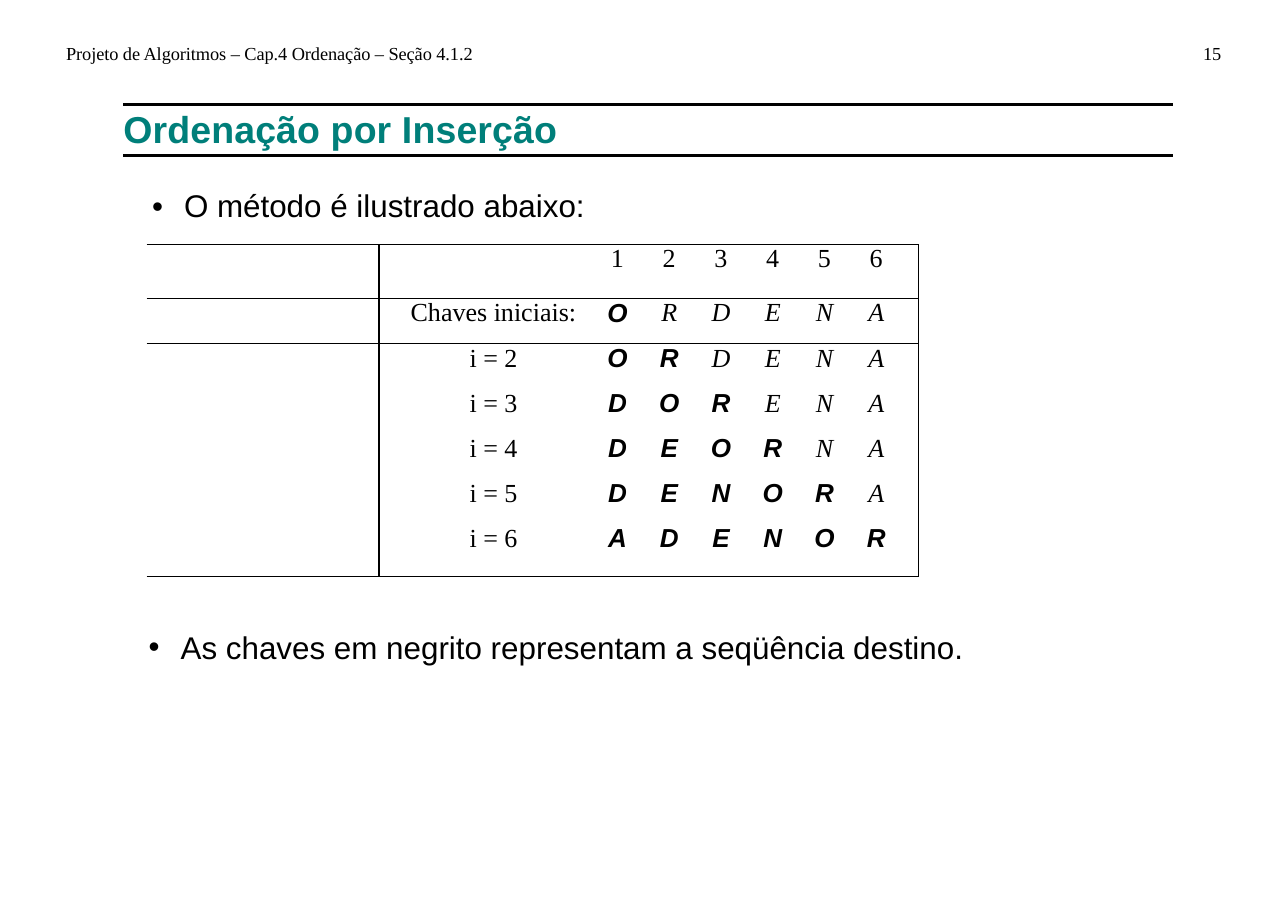
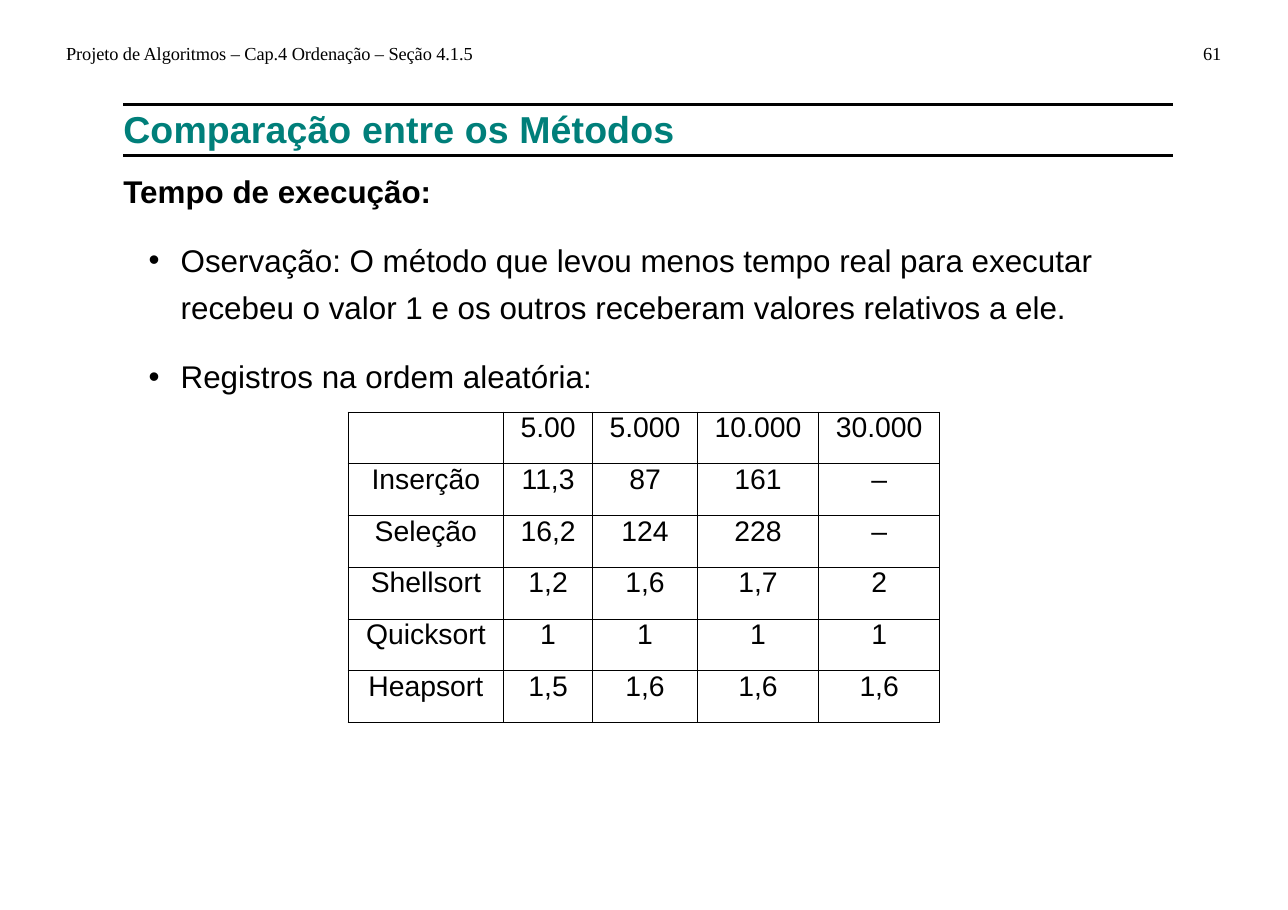
from dataclasses import dataclass
from typing import Any

from lxml import etree
from pptx import Presentation
from pptx.dml.color import RGBColor
from pptx.enum.shapes import MSO_CONNECTOR
from pptx.enum.text import PP_ALIGN
from pptx.oxml.ns import qn
from pptx.util import Inches, Pt

BLACK = RGBColor(0x00, 0x00, 0x00)
TEAL = RGBColor(0x00, 0x7F, 0x7A)
SANS = "Arial"
SERIF = "Times New Roman"
CENTER = PP_ALIGN.CENTER
STRAIGHT = MSO_CONNECTOR.STRAIGHT
PLAIN_TABLE = "{2D5ABB26-0587-4C30-8999-92F81FD0307C}"

HEADER = {"name": SERIF, "size": Pt(12)}
TITLE = {"name": SANS, "size": Pt(24.5), "bold": True}
BODY = {"name": SANS, "size": Pt(20.5)}
SUBHEAD = {**BODY, "bold": True}
LABEL = {"name": SERIF, "size": Pt(17)}
KEY = {**LABEL, "italic": True}
SORTED_KEY = {**KEY, "name": SANS, "bold": True}
DATA = {"name": SANS, "size": Pt(18.5)}

LEFT, RIGHT = 1.12, 10.65
RULE_WIDTH, GRID_WIDTH = 1.73, 0.69
HANG = 0.29


@dataclass
class Para:
    text: str
    style: dict[str, Any]
    indent: float = 0
    before: float = 0
    spacing: float = 1
    color: RGBColor = BLACK
    tracking: int = 0


def write(p: Any, para: Para) -> None:
    if para.indent:
        ppr = p._p.get_or_add_pPr()
        ppr.set("marL", str(Inches(para.indent)))
        ppr.set("indent", str(-Inches(HANG)))
        etree.SubElement(ppr, qn("a:buFont")).set("typeface", SANS)
        etree.SubElement(ppr, qn("a:buChar")).set("char", "•")
    p.line_spacing = para.spacing
    if para.before:
        p.space_before = Pt(para.before)
    r = p.add_run()
    r.text = para.text
    r.font.color.rgb = para.color
    for name, value in para.style.items():
        setattr(r.font, name, value)
    if para.tracking:
        r.font._element.set("spc", str(para.tracking))


def add_text(s: Any, x: float, y: float, w: float, h: float, *paras: Para) -> None:
    tf = s.shapes.add_textbox(Inches(x), Inches(y), Inches(w), Inches(h)).text_frame
    tf.word_wrap = True
    tf.margin_left = tf.margin_right = tf.margin_top = tf.margin_bottom = 0
    for i, para in enumerate(paras):
        write(tf.add_paragraph() if i else tf.paragraphs[0], para)


def add_line(s: Any, x1: float, y1: float, x2: float, y2: float, width: float) -> None:
    line = s.shapes.add_connector(STRAIGHT, Inches(x1), Inches(y1), Inches(x2), Inches(y2))
    line.line.color.rgb = BLACK
    line.line.width = Pt(width)
    etree.SubElement(line._element.spPr, qn("a:effectLst"))


def add_table(s: Any, x: float, y: float, cols: list[float], rows: list[float]) -> Any:
    frame = s.shapes.add_table(len(rows), len(cols), Inches(x), Inches(y),
                               Inches(sum(cols)), Inches(sum(rows)))
    table = frame.table
    table.first_row = table.horz_banding = False
    table._tbl.tblPr.find(qn("a:tableStyleId")).text = PLAIN_TABLE
    for col, width in zip(table.columns, cols):
        col.width = Inches(width)
    for row, height in zip(table.rows, rows):
        row.height = Inches(height)
    for cell in table.iter_cells():
        cell.margin_left = cell.margin_right = cell.margin_top = cell.margin_bottom = 0
    return table


def set_borders(cell: Any, sides: str) -> None:
    tcpr = cell._tc.get_or_add_tcPr()
    for side in "LRTB":
        if side in sides:
            ln = etree.SubElement(tcpr, qn(f"a:ln{side}"), w=str(Pt(GRID_WIDTH)))
            fill = etree.SubElement(ln, qn("a:solidFill"))
            etree.SubElement(fill, qn("a:srgbClr"), val=str(BLACK))
    cell.fill.background()


def fill_cell(cell: Any, text: str, style: dict[str, Any]) -> None:
    p = cell.text_frame.paragraphs[0]
    p.alignment = CENTER
    write(p, Para(text, style))


def new_slide(prs: Any, section: str, number: str, title: str) -> Any:
    s = prs.slides.add_slide(prs.slide_layouts[6])
    heading = f"Projeto de Algoritmos – Cap.4 Ordenação – Seção {section}"
    add_text(s, 0.6, 0.38, 4, 0.21, Para(heading, HEADER, tracking=-5))
    add_text(s, 10.92, 0.38, 0.3, 0.21, Para(number, HEADER))
    for y in (0.95, 1.41):
        add_line(s, LEFT, y, RIGHT, y, RULE_WIDTH)
    add_text(s, LEFT, 0.96, RIGHT - LEFT, 0.42, Para(title, TITLE, color=TEAL, tracking=10))
    return s


def insertion_slide(prs: Any) -> None:
    s = new_slide(prs, "4.1.2", "15", "Ordenação por Inserção")
    word = "ORDENA"
    pitch, edge = 0.47, 0.15
    n = len(word)
    cols = [4.04] + [pitch] * (n - 1) + [pitch + edge]
    rows = [0.5, 0.49] + [0.41] * (n - 1) + [0.47]
    table = add_table(s, 1.33, 1.72, cols, rows)
    table.cell(0, 1).merge(table.cell(0, n))
    write(table.cell(0, 0).text_frame.paragraphs[0],
          Para("O método é ilustrado abaixo:", BODY, indent=0.34))

    for c in range(1, n + 1):
        fill_cell(table.cell(1, c), str(c), LABEL)
    for i in range(1, n + 1):
        label = table.cell(i + 1, 0)
        label.margin_left = Inches(2.26)
        fill_cell(label, "Chaves iniciais:" if i == 1 else f"i = {i}", LABEL)
        keys = sorted(word[:i]) + list(word[i:])
        for c, key in enumerate(keys, 1):
            fill_cell(table.cell(i + 1, c), key, SORTED_KEY if c <= i else KEY)

    for r in range(len(rows)):
        for c in range(len(cols)):
            sides = "B" if r in (0, 1, n + 1) else ""
            sides += "T" if r in (1, 2) else ""
            if c == n and r:
                sides += "R"
                table.cell(r, c).margin_right = Inches(edge)
            set_borders(table.cell(r, c), sides)
    add_line(s, 3.44, 2.22, 3.44, 5.23, GRID_WIDTH)
    add_text(s, LEFT, 5.7, 8.5, 0.37,
             Para("As chaves em negrito representam a seqüência destino.", BODY, indent=0.52))


def comparison_slide(prs: Any) -> None:
    s = new_slide(prs, "4.1.5", "61", "Comparação entre os Métodos")
    bullet = {"indent": 0.52, "before": 14.5, "spacing": 1.25}
    note = ("Oservação: O método que levou menos tempo real para executar "
            "recebeu o valor 1 e os outros receberam valores relativos a ele.")
    add_text(s, LEFT, 1.56, 9.2, 1.97,
             Para("Tempo de execução:", SUBHEAD),
             Para(note, BODY, **bullet),
             Para("Registros na ordem aleatória:", BODY, **bullet))
    data = [
        ("", "5.00", "5.000", "10.000", "30.000"),
        ("Inserção", "11,3", "87", "161", "–"),
        ("Seleção", "16,2", "124", "228", "–"),
        ("Shellsort", "1,2", "1,6", "1,7", "2"),
        ("Quicksort", "1", "1", "1", "1"),
        ("Heapsort", "1,5", "1,6", "1,6", "1,6"),
    ]
    table = add_table(s, 3.16, 3.74, [1.41, 0.81, 0.95, 1.1, 1.1], [0.47] * len(data))
    for r, values in enumerate(data):
        for c, value in enumerate(values):
            cell = table.cell(r, c)
            set_borders(cell, "LRTB")
            if value:
                fill_cell(cell, value, DATA)


def main() -> None:
    prs = Presentation()
    prs.slide_width, prs.slide_height = Inches(11.69), Inches(8.26)
    insertion_slide(prs)
    comparison_slide(prs)
    prs.save("out.pptx")


if __name__ == "__main__":
    main()
